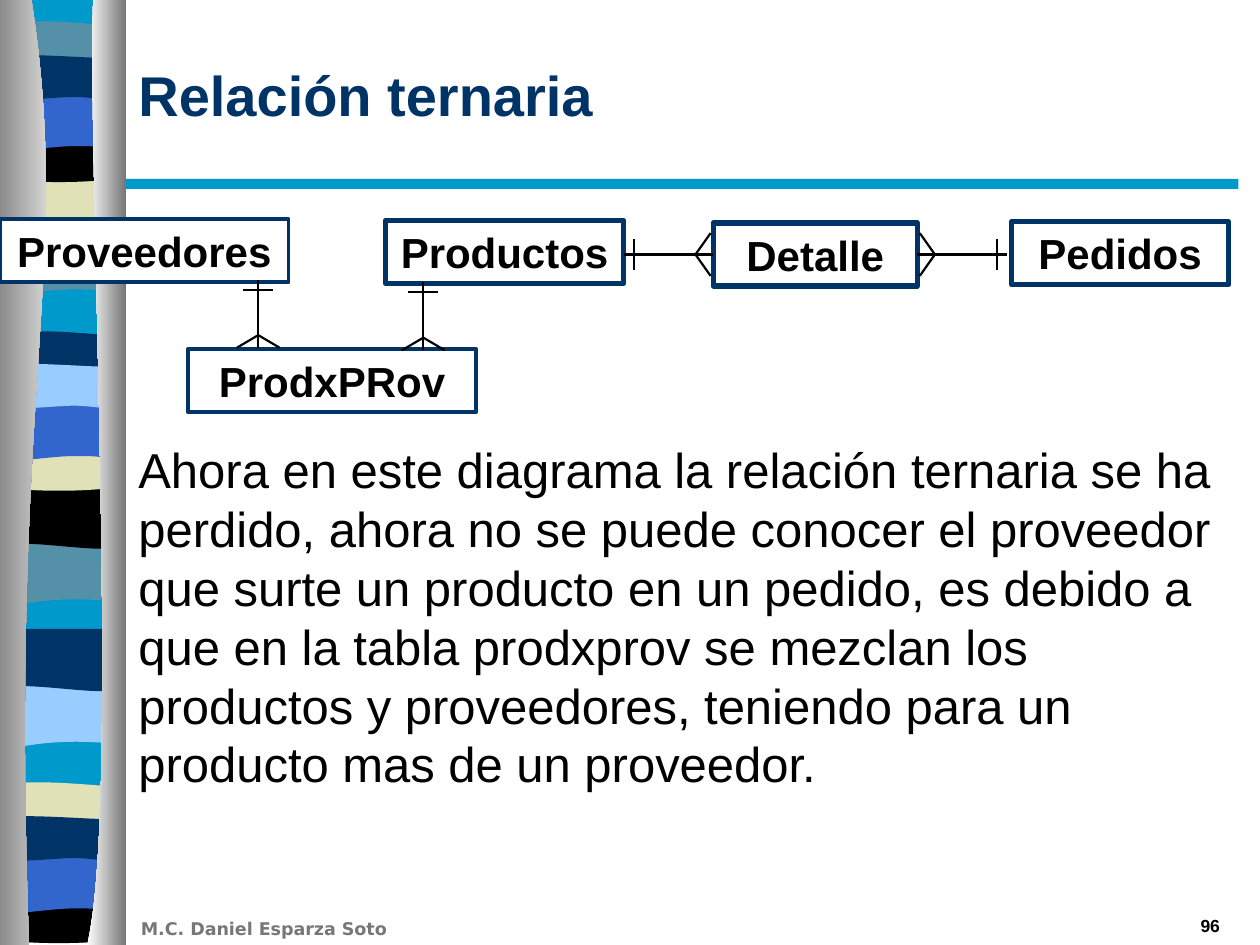
from dataclasses import dataclass

import pptx
import pptx.dml.color
import pptx.enum.shapes
import pptx.enum.text
import pptx.oxml.ns
import pptx.util
from lxml import etree

Inches = pptx.util.Inches
Pt = pptx.util.Pt
qn = pptx.oxml.ns.qn
MSO_SHAPE = pptx.enum.shapes.MSO_SHAPE
ALIGN = pptx.enum.text.PP_ALIGN
ANCHOR = pptx.enum.text.MSO_ANCHOR
NAVY, CYAN, TEAL, BLUE = "003366", "0099CC", "5490A8", "3366CC"
SAND, SKY, BLACK, WHITE, GRAY = "E1E1B7", "99CCFF", "000000", "FFFFFF", "767676"
LEFT, RIGHT = -0.05, 0.98


@dataclass
class Band:
    outline: list
    stripes: list


@dataclass
class Entity:
    name: str
    left: float
    top: float
    width: float
    border: float
    fill: str | None = None


@dataclass
class Relation:
    one: tuple
    many: tuple
    apex: float
    many_entity: str | None = None


BANDS = [
    Band([(RIGHT, 0), (RIGHT, 0, RIGHT, 0.47, RIGHT, 0.47),
          (0.27, 0.39, 0.13, 0.55, LEFT, 0.47), (LEFT, 0)],
         [(1.85, TEAL), (4.31, TEAL), (5.44, SKY)]),
    Band([(RIGHT, 0), (RIGHT, 0.47), (0.81, 0.55, 0.27, 0.41, LEFT, 0.47), (LEFT, 0)],
         [(1.41, SAND), (3.86, BLACK), (4.99, NAVY)]),
    Band([(RIGHT, 0.05), (RIGHT, 0.29), (0.81, 0.33, 0.13, 0.33, LEFT, 0.29), (LEFT, 0.05),
          (0.02, 0, 0.18, 0.01, 0.35, 0.01), (0.52, 0.01, 0.85, 0.04, RIGHT, 0.05)],
         [(0.16, TEAL), (2.62, NAVY), (6.2, SAND)]),
    Band([(RIGHT, 0), (RIGHT, 0.32), (0.81, 0.38, 0.13, 0.38, LEFT, 0.32), (LEFT, 0),
          (0.59, 0.05, 0.77, 0, RIGHT, 0)],
         [(1.08, BLACK), (3.53, SAND), (7.12, BLACK)]),
    Band([(RIGHT, 0), (RIGHT, 0, RIGHT, 0.47, RIGHT, 0.47),
          (0.82, 0.42, 0.76, 0.42, 0.59, 0.42),
          (0.42, 0.42, 0.11, 0.47, LEFT, 0.47), (LEFT, 0)],
         [(0.74, BLUE), (3.2, BLUE), (6.79, BLUE)]),
    Band([(RIGHT, 0.05), (RIGHT, 0.36), (0.92, 0.41, 0.76, 0.36, 0.59, 0.36),
          (0.42, 0.36, 0.06, 0.41, LEFT, 0.36), (LEFT, 0.05),
          (0.1, 0, 0.65, 0.05, 0.82, 0.05), (0.99, 0.05, 0.95, 0.05, RIGHT, 0.05)],
         [(0.41, NAVY), (2.86, SKY), (6.45, NAVY)]),
]
LEFT_PILLAR = [(0.25, 0), (0.58, 2.16, 0.07, 2.96, 0.23, 7.5), (-0.1, 7.5), (-0.1, 0)]
RIGHT_PILLAR = [(0.74, 0), (0.69, 1.25, 0.96, 6.46, 0.69, 7.5), (1, 7.5), (1, 0)]
ENTITIES = [
    Entity("Productos", 3.06, 1.75, 1.89, 3),
    Entity("Proveedores", 0, 1.74, 2.29, 2.25, WHITE),
    Entity("Pedidos", 8.03, 1.76, 1.72, 3),
    Entity("Detalle", 5.66, 1.77, 1.62, 3),
    Entity("ProdxPRov", 1.49, 2.77, 2.29, 2.25, WHITE),
]
RELATIONS = [
    Relation((4.95, 2.02), (5.64, 2.02), 0.12, "Detalle"),
    Relation((7.99, 2.02), (7.3, 2.02), 0.12, "Detalle"),
    Relation((2.05, 2.22), (2.05, 2.76), 0.1),
    Relation((3.36, 2.24), (3.36, 2.78), 0.1),
]
BODY = ("Ahora en este diagrama la relación ternaria se ha perdido, ahora no se puede "
        "conocer el proveedor que surte un producto en un pedido, es debido a que en la "
        "tabla prodxprov se mezclan los productos y proveedores, teniendo para un producto "
        "mas de un proveedor.")


def rgb(value: str):
    return pptx.dml.color.RGBColor.from_string(value)


def add_outline(s, outline: list, top: float = 0):
    points = [(Inches(seg[i]), Inches(top + seg[i + 1]))
              for seg in outline for i in range(0, len(seg), 2)]
    builder = s.shapes.build_freeform(*points[0])
    builder.add_line_segments(points[1:], close=True)
    sp = builder.convert_to_shape()
    edges = iter(list(sp._element.iter(qn("a:lnTo"))))
    for seg in outline[1:]:
        edge = next(edges)
        if len(seg) == 6:
            edge.tag = qn("a:cubicBezTo")
            for _ in range(2):
                control = next(edges)
                edge.append(control[0])
                control.getparent().remove(control)
    sp.shadow.inherit = False
    sp.line.fill.background()
    return sp


def add_band(s, band: Band, index: int) -> None:
    top, color = band.stripes[index]
    sp = add_outline(s, band.outline, top)
    sp.fill.solid()
    sp.fill.fore_color.rgb = rgb(color)


def add_pillar(s, outline: list, colors: tuple) -> None:
    sp = add_outline(s, outline)
    sp.fill.gradient()
    sp.fill.gradient_angle = 0
    for stop, color in zip(sp.fill.gradient_stops, colors):
        stop.color.rgb = rgb(color)


def add_rect(s, box: tuple, fill: str | None):
    sp = s.shapes.add_shape(MSO_SHAPE.RECTANGLE, *map(Inches, box))
    sp.shadow.inherit = False
    sp.line.fill.background()
    if fill:
        sp.fill.solid()
        sp.fill.fore_color.rgb = rgb(fill)
    else:
        sp.fill.background()
    return sp


def write(sp, text: str, size: float, color: str, bold: bool = True, font: str = "Arial",
          align=ALIGN.LEFT, anchor=ANCHOR.TOP) -> None:
    tf = sp.text_frame
    tf.word_wrap = True
    tf.vertical_anchor = anchor
    p = tf.paragraphs[0]
    p.alignment = align
    r = p.add_run()
    r.text = text
    r.font.size = Pt(size)
    r.font.name = font
    r.font.bold = bold
    r.font.color.rgb = rgb(color)


def add_text(s, box: tuple, *args, **kwargs) -> None:
    write(s.shapes.add_textbox(*map(Inches, box)), *args, **kwargs)


def add_entity(s, e: Entity):
    sp = add_rect(s, (e.left, e.top, e.width, 0.5), e.fill)
    sp.line.color.rgb = rgb(NAVY)
    sp.line.width = Pt(e.border)
    write(sp, e.name, 24, BLACK, align=ALIGN.CENTER)
    sp.text_frame.auto_size = pptx.enum.text.MSO_AUTO_SIZE.SHAPE_TO_FIT_TEXT
    return sp


def add_line(s, start: tuple, end: tuple):
    line = s.shapes.add_connector(pptx.enum.shapes.MSO_CONNECTOR.STRAIGHT,
                                  *map(Inches, start + end))
    line.line.color.rgb = rgb(BLACK)
    line.line.width = Pt(1.25)
    etree.SubElement(line._element.spPr, qn("a:effectLst"))
    return line


def add_relation(s, rel: Relation, boxes: dict) -> None:
    (x1, y1), (x2, y2) = rel.one, rel.many
    length = abs(x2 - x1) + abs(y2 - y1)
    dx, dy = (x2 - x1) / length, (y2 - y1) / length

    def at(along: float, across: float) -> tuple:
        return x1 + along * dx - across * dy, y1 + along * dy + across * dx

    line = add_line(s, rel.one, rel.many)
    if rel.many_entity:
        line.end_connect(boxes[rel.many_entity], 1 if dx > 0 else 3)
    add_line(s, at(0.08, -0.12), at(0.08, 0.12))
    for side in (-0.17, 0.17):
        add_line(s, at(length - rel.apex, 0), at(length, side))


def main() -> None:
    prs = pptx.Presentation()
    prs.slide_width, prs.slide_height = Inches(10), Inches(7.5)
    s = prs.slides.add_slide(prs.slide_layouts[6])
    add_rect(s, (LEFT, 0, RIGHT - LEFT, 7.48), CYAN)
    for index in range(3):
        for band in BANDS:
            add_band(s, band, index)
    add_pillar(s, LEFT_PILLAR, (GRAY, WHITE))
    add_pillar(s, RIGHT_PILLAR, (WHITE, GRAY))
    add_rect(s, (1, 1.42, 8.83, 0.08), CYAN)
    add_text(s, (1.02, 7.24, 2.83, 0.27), "M.C. Daniel Esparza Soto", 10, "777777",
             font="DejaVu Sans")
    add_text(s, (1, 3.44, 8.78, 1.42), BODY, 28, BLACK, bold=False)
    add_text(s, (1, 0.12, 8.78, 1.25), "Relación ternaria", 32, NAVY, anchor=ANCHOR.MIDDLE)
    add_text(s, (7.7, 7.21, 2.08, 0.26), "96", 10, BLACK, align=ALIGN.RIGHT)
    boxes = {e.name: add_entity(s, e) for e in ENTITIES}
    for rel in RELATIONS:
        add_relation(s, rel, boxes)
    prs.save("out.pptx")


if __name__ == "__main__":
    main()
